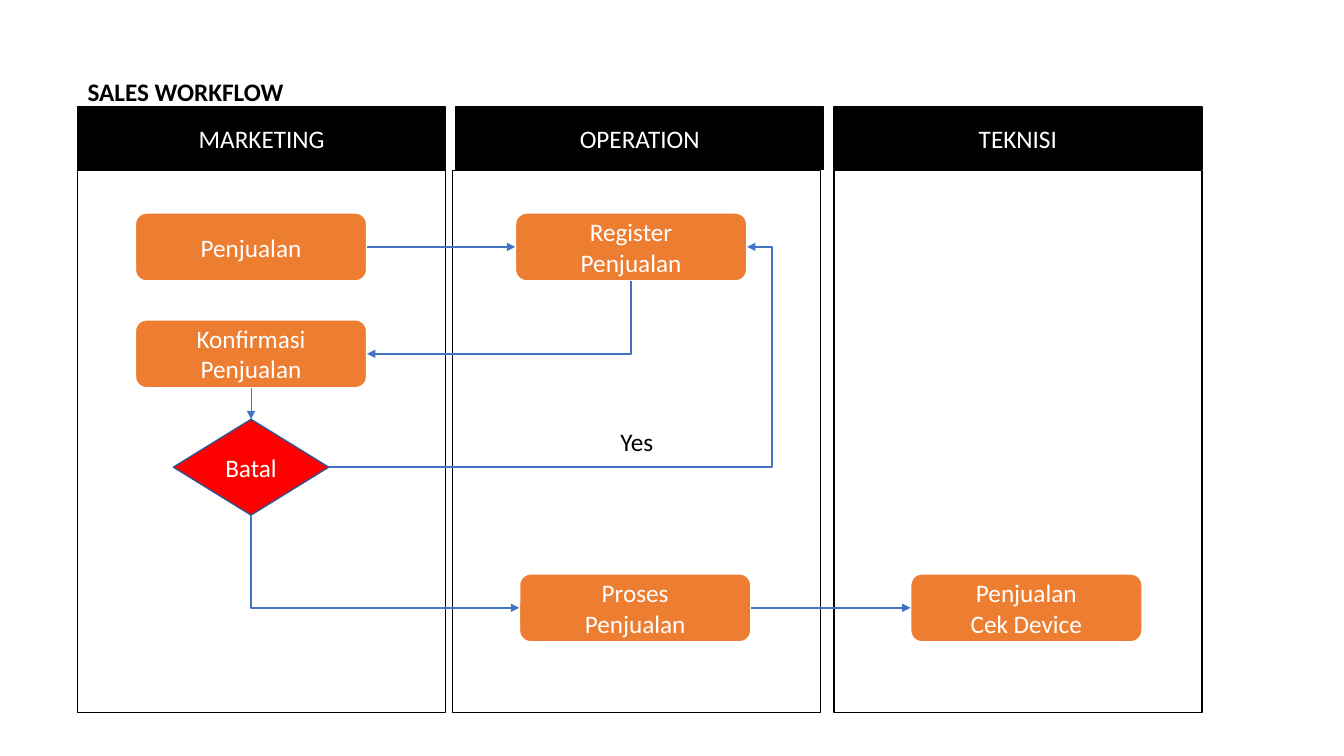
from pptx import Presentation
from pptx.dml.color import RGBColor
from pptx.enum.shapes import MSO_CONNECTOR, MSO_SHAPE
from pptx.enum.text import MSO_ANCHOR, PP_ALIGN
from pptx.oxml.ns import qn
from pptx.util import Emu, Pt
from lxml.etree import SubElement

PX = 9144  # 100 px to the inch
TOP, LEFT, BOTTOM, RIGHT = range(4)


def px(n):
    return Emu(n * PX)


def rgb(value):
    return RGBColor.from_string(value)


class Workflow:
    font, size = "Calibri", 18
    black, white = "000000", "FFFFFF"
    orange, red, blue, navy = "ED7D31", "FF0000", "4472C4", "325491"

    def __init__(self, slide):
        self.s = slide

    def add_lines(self, tf, lines, color, align, bold=False):
        for i, line in enumerate(lines):
            p = tf.paragraphs[0] if i == 0 else tf.add_paragraph()
            p.alignment = align
            r = p.add_run()
            r.text = line
            r.font.name, r.font.size, r.font.bold = self.font, Pt(self.size), bold
            r.font.color.rgb = rgb(color)

    def shape(self, kind, x, y, w, h, fill, line, weight, lines=(), color=white):
        sp = self.s.shapes.add_shape(kind, px(x), px(y), px(w), px(h))
        sp.shadow.inherit = False
        sp.fill.solid()
        sp.fill.fore_color.rgb = rgb(fill)
        sp.line.color.rgb = rgb(line)
        sp.line.width = Pt(weight)
        sp.text_frame.vertical_anchor = MSO_ANCHOR.MIDDLE
        self.add_lines(sp.text_frame, lines, color, PP_ALIGN.CENTER)
        return sp

    def lane(self, x, body_x, title, lines=()):
        self.shape(MSO_SHAPE.RECTANGLE, x, 106, 365, 62,
                   self.black, self.black, 1, [title])
        self.shape(MSO_SHAPE.RECTANGLE, body_x, 169, 365, 538,
                   self.white, self.black, 1, lines, self.black)

    def step(self, x, y, *lines):
        return self.shape(MSO_SHAPE.ROUNDED_RECTANGLE, x, y, 230, 68,
                          self.orange, self.white, 1.5, lines)

    def decision(self, x, y, w, h, text):
        return self.shape(MSO_SHAPE.DIAMOND, x, y, w, h,
                          self.red, self.navy, 1, [text])

    def arrow(self, start, start_side, end, end_side,
              kind=MSO_CONNECTOR.STRAIGHT, weight=1.5):
        con = self.s.shapes.add_connector(kind, 0, 0, 0, 0)
        con.begin_connect(start, start_side)
        con.end_connect(end, end_side)
        con.line.color.rgb = rgb(self.blue)
        con.line.width = Pt(weight)
        sp_pr = con._element.spPr
        SubElement(sp_pr.find(qn("a:ln")), qn("a:tailEnd"), type="triangle")
        SubElement(sp_pr, qn("a:effectLst"))
        return con

    def corner(self, start, end, end_side):
        """Arrow that leaves downwards and turns once to the side."""
        con = self.arrow(start, BOTTOM, end, end_side, MSO_CONNECTOR.ELBOW)
        to_right = con.begin_x < con.end_x
        w, h = con.width, con.height
        shift = (w - h) // 2
        con.left, con.top = con.left + shift, con.top - shift
        con.width, con.height = h, w
        sp_pr = con._element.spPr
        xfrm = sp_pr.find(qn("a:xfrm"))
        xfrm.set("rot", "5400000")
        xfrm.set("flipH", "0")
        xfrm.set("flipV", "1" if to_right else "0")
        sp_pr.find(qn("a:prstGeom")).set("prst", "bentConnector2")

    def loop(self, start, end, reach):
        """Arrow that runs right past its target and comes back to it."""
        con = self.arrow(start, RIGHT, end, RIGHT, MSO_CONNECTOR.ELBOW)
        geom = con._element.spPr.find(qn("a:prstGeom"))
        av = geom.find(qn("a:avLst"))
        if av is None:
            av = SubElement(geom, qn("a:avLst"))
        SubElement(av, qn("a:gd"), name="adj1", fmla=f"val {round(reach * 100000)}")

    def title(self, x, y, w, h, text):
        tf = self.s.shapes.add_textbox(px(x), px(y), px(w), px(h)).text_frame
        tf.word_wrap = True
        self.add_lines(tf, [text], self.black, PP_ALIGN.LEFT, bold=True)


def main():
    prs = Presentation()
    prs.slide_width, prs.slide_height = px(1333), px(750)
    flow = Workflow(prs.slides.add_slide(prs.slide_layouts[6]))

    # Swimlanes
    flow.lane(77, 77, "MARKETING")
    flow.lane(452, 449, "OPERATION", ["Yes"])
    flow.lane(827, 827, "TEKNISI")

    # Steps and decision
    sale = flow.step(134, 211, "Penjualan")
    register = flow.step(511, 211, "Register", "Penjualan")
    confirm = flow.step(134, 317, "Konfirmasi", "Penjualan")
    process = flow.step(515, 569, "Proses", "Penjualan")
    check = flow.step(903, 569, "Penjualan", "Cek Device")
    cancel = flow.decision(172, 416, 154, 95, "Batal")

    # Arrows
    flow.arrow(sale, RIGHT, register, LEFT)
    flow.corner(register, confirm, RIGHT)
    flow.arrow(confirm, BOTTOM, cancel, TOP, weight=0.5)
    flow.loop(cancel, register, 1.06)
    flow.corner(cancel, process, LEFT)
    flow.arrow(process, RIGHT, check, LEFT)

    # Heading
    flow.title(77, 71, 217, 40, "SALES WORKFLOW")

    prs.save("out.pptx")


if __name__ == "__main__":
    main()
